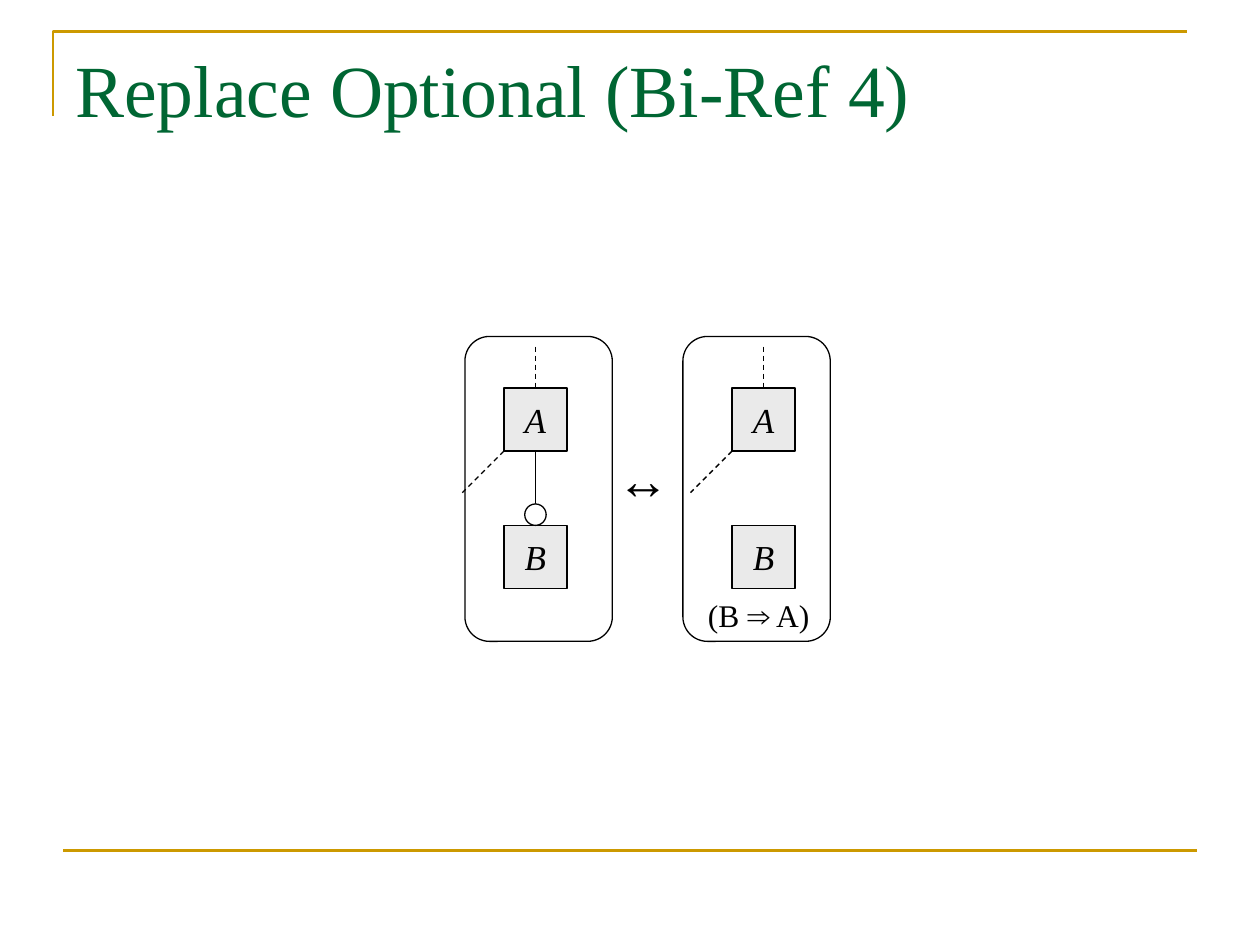
from pptx import Presentation
from pptx.dml.color import RGBColor
from pptx.enum import dml, shapes, text
from pptx.oxml.ns import qn
from pptx.util import Inches, Pt
from lxml import etree

SERIF, MONO = "Times New Roman", "Courier New"
BLACK, WHITE, GOLD, GREEN, GREY = "000000", "FFFFFF", "CC9900", "006633", "EAEAEA"

TITLE = "Replace Optional (Bi-Ref 4)"
# frame left, node left, whether A and B are linked
DIAGRAMS = [(3.69, 4, True), (5.42, 5.81, False)]
NODES = {"A": 3.08, "B": 4.17}  # name: top
NOTE = "(B ⇒ A)"
ARROW = "↔"

FRAME_TOP, FRAME_W, FRAME_H = 2.67, 1.17, 2.42
NODE, RING = 0.5, 0.17

prs = Presentation()
prs.slide_width, prs.slide_height = Inches(10), Inches(7.5)
slide = prs.slides.add_slide(prs.slide_layouts[6])


def rgb(color):
    return RGBColor.from_string(color)


def style_line(line, color=BLACK, width=0.75):
    line.color.rgb = rgb(color)
    line.width = Pt(width)


def add_run(paragraph, words, size, color=BLACK, font=SERIF, italic=False):
    run = paragraph.add_run()
    run.text = words
    run.font.size, run.font.name, run.font.italic = Pt(size), font, italic
    run.font.color.rgb = rgb(color)


def label(words, left, top, width, height, size, color=BLACK, font=SERIF, wrap=False):
    frame = slide.shapes.add_textbox(*map(Inches, (left, top, width, height))).text_frame
    frame.word_wrap = wrap
    add_run(frame.paragraphs[0], words, size, color, font)


def outline(preset, left, top, width, height, fill=None):
    shape = slide.shapes.add_shape(preset, *map(Inches, (left, top, width, height)))
    shape.shadow.inherit = False
    if fill:
        shape.fill.solid()
        shape.fill.fore_color.rgb = rgb(fill)
    else:
        shape.fill.background()
    style_line(shape.line)
    return shape


def connect(x1, y1, x2, y2, color=BLACK, width=0.75, dashed=False):
    line = slide.shapes.add_connector(
        shapes.MSO_CONNECTOR.STRAIGHT, *map(Inches, (x1, y1, x2, y2)))
    etree.SubElement(line._element.spPr, qn("a:effectLst"))
    style_line(line.line, color, width)
    if dashed:
        line.line.dash_style = dml.MSO_LINE.DASH
    return line


def add_node(name, left, top):
    box = outline(shapes.MSO_SHAPE.RECTANGLE, left, top, NODE, NODE, GREY)
    box.text_frame.word_wrap = False
    box.text_frame.vertical_anchor = text.MSO_ANCHOR.MIDDLE
    paragraph = box.text_frame.paragraphs[0]
    paragraph.alignment = text.PP_ALIGN.CENTER
    add_run(paragraph, name, 20, italic=True)
    return box


def add_diagram(frame_left, left, linked):
    node_a, node_b = [add_node(name, left, top) for name, top in NODES.items()]
    middle, a_top, b_top = left + NODE / 2, NODES["A"], NODES["B"]
    a_bottom = a_top + NODE
    if linked:
        link = connect(middle, a_bottom, middle, b_top)
        link.begin_connect(node_a, 2)
        link.end_connect(node_b, 0)
        outline(shapes.MSO_SHAPE.OVAL, middle - RING / 2, b_top - RING, RING, RING, WHITE)
    connect(middle, 2.75, middle, a_top, dashed=True).end_connect(node_a, 0)
    connect(left, a_bottom, left - 0.33, a_bottom + 0.33, dashed=True)
    outline(shapes.MSO_SHAPE.ROUNDED_RECTANGLE, frame_left, FRAME_TOP, FRAME_W, FRAME_H)


corner = slide.shapes.build_freeform(Inches(0.42), Inches(0.92))
corner.add_line_segments([(Inches(0.42), Inches(0.25)), (Inches(9.42), Inches(0.25))], close=False)
bracket = corner.convert_to_shape()
bracket.shadow.inherit = False
bracket.fill.background()
style_line(bracket.line, GOLD, 1.5)
connect(0.5, 6.75, 9.5, 6.75, GOLD, 1.5)

label(TITLE, 0.5, 0.3, 9, 1.25, 42, GREEN, wrap=True)
for diagram in DIAGRAMS:
    add_diagram(*diagram)
label(NOTE, 5.52, 4.68, 1.05, 0.4, 18)
label(ARROW, 4.88, 3.5, 0.45, 0.6, 30, font=MONO)

prs.save("out.pptx")
